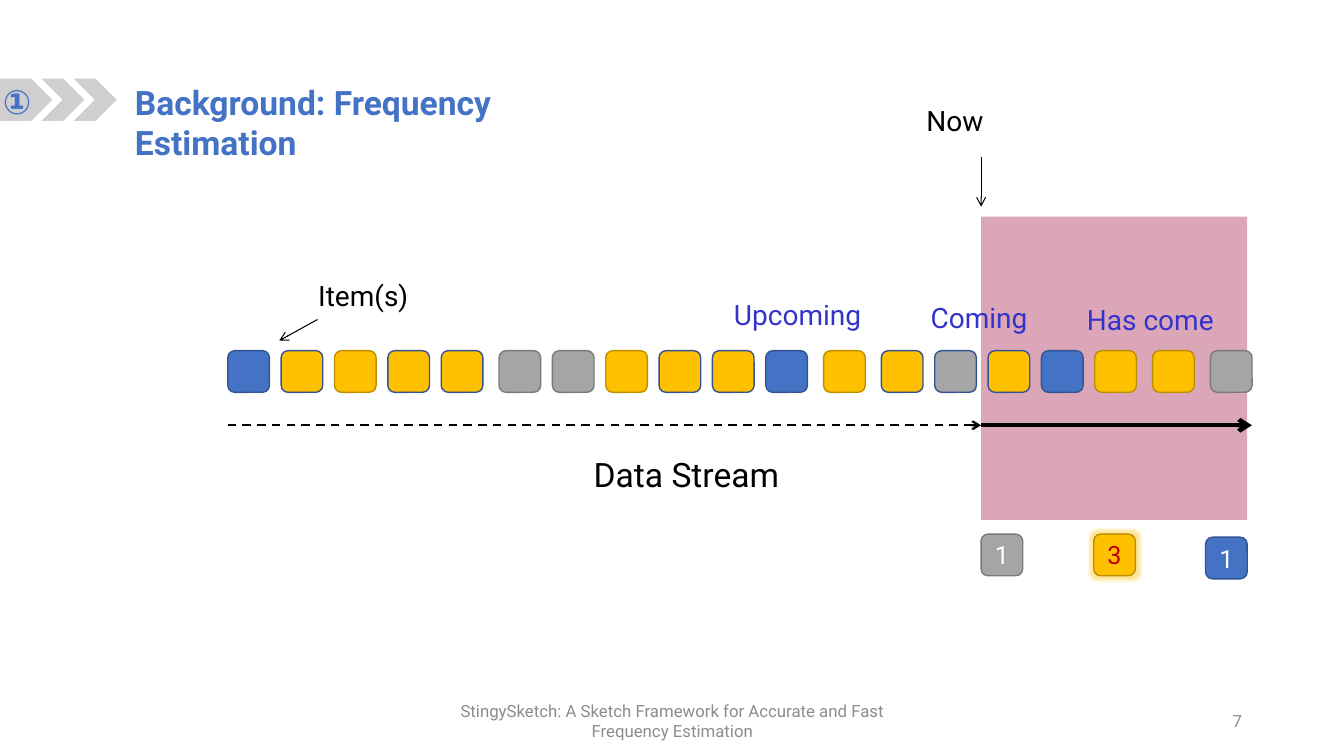
from itertools import accumulate
from lxml.etree import SubElement
from pptx import Presentation
from pptx.dml.color import RGBColor
from pptx.enum.dml import MSO_LINE
from pptx.enum.shapes import MSO_CONNECTOR, MSO_SHAPE
from pptx.enum.text import MSO_ANCHOR, PP_ALIGN
from pptx.oxml.ns import qn
from pptx.util import Inches, Pt

SLIDE_WIDTH, SLIDE_HEIGHT = Inches(13.33), Inches(7.5)
COLUMNS = 100
NOW_COLUMN = 73
STREAM_START, STREAM_END = 16.95, 93.15
ITEM_ROW, ARROW_ROW = 26.1, 31.65
ITEM_SIZE, ITEM_STEP, WIDE_STEP = 3.1, 3.97, 4.3
WIDE_GAPS = {5, 11, 12, 17, 18}
BLACK, WHITE, PALE_GRAY, FOOTER_GRAY = "000000", "FFFFFF", "D0CECE", "8C8C8C"
BLUE, LABEL_BLUE, RED = "4472C4", "3333CC", "C00000"
ITEM_STYLES = {
    "b": (BLUE, "325491"),
    "y": ("FFC000", "325491"),
    "g": ("FFC000", "BD8E00"),
    "s": ("A5A5A5", "7A7A7A"),
    "n": ("A6A6A6", "325491"),
}
STREAM = "bygyyssgyybgynybggs"


def color(value):
    return RGBColor.from_string(value)


def cells(*counts):
    return [round(SLIDE_WIDTH * count / COLUMNS) for count in counts]


def write(shape, text, size, text_color, align=PP_ALIGN.LEFT, bold=False):
    shape.text_frame.text = text
    paragraph = shape.text_frame.paragraphs[0]
    paragraph.alignment = align
    font = paragraph.runs[0].font
    font.name, font.size, font.bold = "Roboto", Pt(size), bold
    font.color.rgb = color(text_color)
    return paragraph


def add_text(slide, box, text, size, text_color, align=PP_ALIGN.LEFT, bold=False,
             anchor=MSO_ANCHOR.TOP, wrap=True):
    shape = slide.shapes.add_textbox(*cells(*box))
    shape.text_frame.word_wrap = wrap
    shape.text_frame.vertical_anchor = anchor
    return write(shape, text, size, text_color, align, bold)


def add_label(slide, column, row, text, text_color):
    paragraph = add_text(slide, (column, row, 12.5, 3.6), text, 20, text_color, PP_ALIGN.CENTER)
    paragraph.line_spacing = 0.9


def add_block(slide, kind, box, fill, outline=None):
    shape = slide.shapes.add_shape(kind, *cells(*box))
    shape.shadow.inherit = False
    shape.fill.solid()
    shape.fill.fore_color.rgb = color(fill)
    if outline:
        shape.line.color.rgb = color(outline)
        shape.line.width = Pt(1)
    else:
        shape.line.fill.background()
    return shape


def add_item(slide, column, row, style):
    box = (column, row, ITEM_SIZE, ITEM_SIZE)
    return add_block(slide, MSO_SHAPE.ROUNDED_RECTANGLE, box, *ITEM_STYLES[style])


def add_counter(slide, column, row, style, count, text_color):
    shape = add_item(slide, column, row, style)
    frame = shape.text_frame
    frame.margin_left = frame.margin_right = frame.margin_top = frame.margin_bottom = 0
    frame.vertical_anchor = MSO_ANCHOR.MIDDLE
    write(shape, count, 18, text_color, PP_ALIGN.CENTER)
    return shape


def set_alpha(color_element, percent):
    SubElement(color_element, qn("a:alpha"), val=str(percent * 1000))


def add_glow(shape, glow_color):
    effects = shape._element.spPr.find(qn("a:effectLst"))
    glow = SubElement(effects, qn("a:glow"), rad=str(Pt(5)))
    set_alpha(SubElement(glow, qn("a:srgbClr"), val=glow_color), 40)


def add_arrow(slide, start, end, width, dashed=False):
    connector = slide.shapes.add_connector(MSO_CONNECTOR.STRAIGHT, *cells(*start, *end))
    connector.line.color.rgb = color(BLACK)
    connector.line.width = Pt(width)
    if dashed:
        connector.line.dash_style = MSO_LINE.DASH
    SubElement(connector.line._get_or_add_ln(), qn("a:tailEnd"), type="arrow")
    SubElement(connector._element.spPr, qn("a:effectLst"))


def add_heading(slide):
    add_block(slide, MSO_SHAPE.PENTAGON, (0, 5.85, 3.9, 3.15), PALE_GRAY)
    for column in (3.08, 5.48):
        add_block(slide, MSO_SHAPE.CHEVRON, (column, 5.85, 3.2, 3.15), PALE_GRAY)
    add_text(slide, (9.3, 5.7, 37.8, 3.75), "Background: Frequency Estimation", 24, BLUE, bold=True)
    add_text(slide, (-0.53, 5.62, 4.05, 3.75), "①", 24, BLUE, bold=True, wrap=False)


def add_stream(slide):
    window = add_block(slide, MSO_SHAPE.RECTANGLE, (NOW_COLUMN, 16.12, 19.8, 22.58), "990033")
    set_alpha(window.fill._xPr.find(qn("a:solidFill"))[0], 35)
    now = (NOW_COLUMN, ARROW_ROW)
    add_arrow(slide, (STREAM_START, ARROW_ROW), now, 1.5, dashed=True)
    add_arrow(slide, now, (STREAM_END, ARROW_ROW), 3)
    add_arrow(slide, (NOW_COLUMN, 11.7), (NOW_COLUMN, 15.38), 0.75)
    add_arrow(slide, (23.62, 23.78), (20.78, 25.35), 0.75)
    steps = [WIDE_STEP if index in WIDE_GAPS else ITEM_STEP for index in range(1, len(STREAM))]
    for column, style in zip(accumulate(steps, initial=STREAM_START), STREAM):
        add_item(slide, column, ITEM_ROW, style)


def add_labels(slide):
    stream_name = add_text(slide, (43.43, 33.75, 19.35, 5.6), "Data Stream", 24, BLACK)
    stream_name.line_spacing = 0.9
    for column, row, text, text_color in (
        (64.8, 7.58, "Now", BLACK),
        (20.78, 20.62, "Item(s)", BLACK),
        (53.1, 22.05, "Upcoming", LABEL_BLUE),
        (66.6, 22.28, "Coming", LABEL_BLUE),
        (79.35, 22.42, "Has come", LABEL_BLUE),
    ):
        add_label(slide, column, row, text, text_color)


def add_counters(slide):
    add_counter(slide, NOW_COLUMN, 39.75, "s", "1", WHITE)
    highlighted = add_counter(slide, 81.38, 39.75, "g", "3", RED)
    add_glow(highlighted, ITEM_STYLES["g"][0])
    add_counter(slide, 89.7, 39.98, "b", "1", WHITE)


def add_footer(slide):
    add_text(slide, (33.15, 52.12, 33.75, 3),
             "StingySketch: A Sketch Framework for Accurate and Fast Frequency Estimation",
             12, FOOTER_GRAY, PP_ALIGN.CENTER, anchor=MSO_ANCHOR.MIDDLE)
    add_text(slide, (70.65, 52.12, 22.5, 3), "7", 12, FOOTER_GRAY, PP_ALIGN.RIGHT,
             anchor=MSO_ANCHOR.MIDDLE)


def main():
    presentation = Presentation()
    presentation.slide_width, presentation.slide_height = SLIDE_WIDTH, SLIDE_HEIGHT
    slide = presentation.slides.add_slide(presentation.slide_layouts[6])
    add_heading(slide)
    add_stream(slide)
    add_labels(slide)
    add_counters(slide)
    add_footer(slide)
    presentation.save("out.pptx")


if __name__ == "__main__":
    main()
